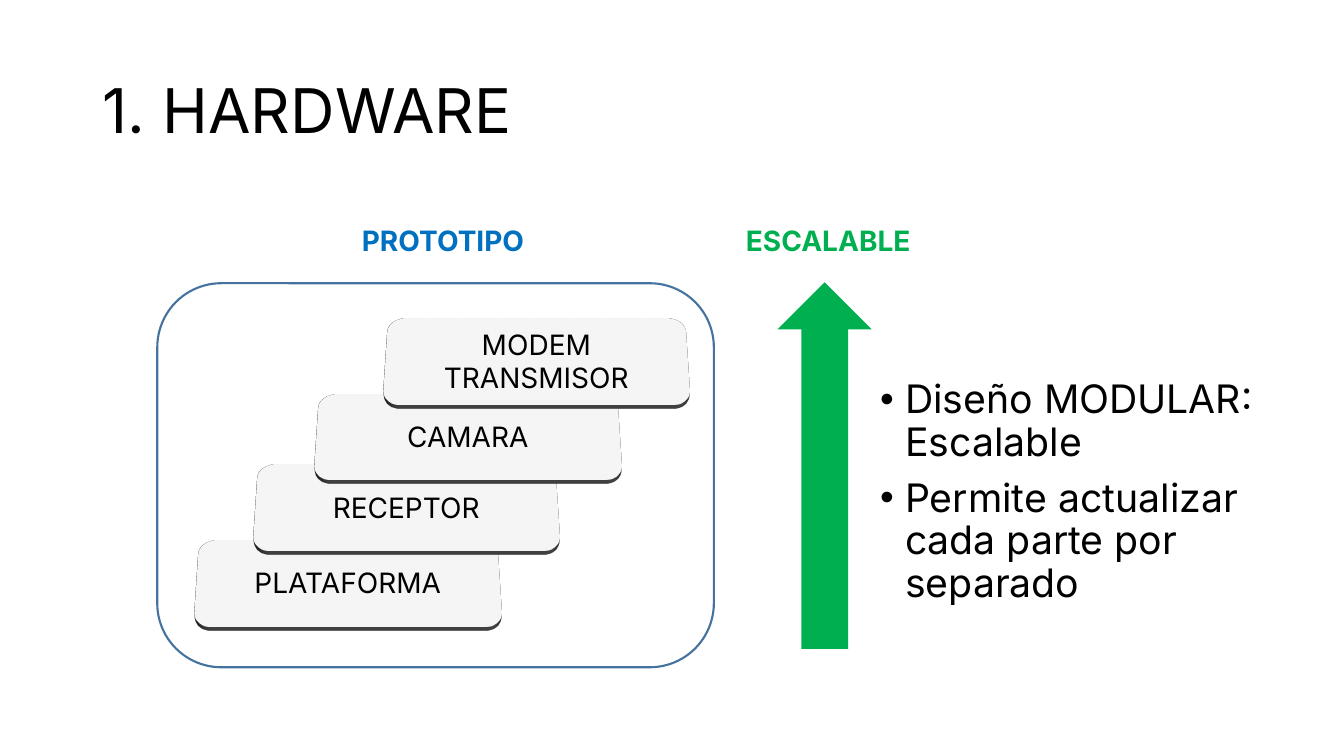
from dataclasses import dataclass

from lxml.etree import SubElement
from pptx import Presentation
from pptx.dml.color import RGBColor
from pptx.enum.shapes import MSO_SHAPE
from pptx.enum.text import MSO_ANCHOR, PP_ALIGN
from pptx.oxml.ns import qn
from pptx.shapes.autoshape import Shape
from pptx.text.text import TextFrame
from pptx.util import Inches, Pt

FONT = "Inter"
COLORS = {
    "text": "000000",
    "blue": "0070C0",
    "green": "00B050",
    "frame": "43739E",
    "face": "A6A6A6",
    "edge": "808080",
}


@dataclass
class Label:
    """A text box with its place and style."""
    lines: list[str]
    left: float
    top: float
    width: float
    height: float
    size: int
    color: str = "text"
    bold: bool = False
    wrap: bool = False
    space: float = 1.0
    anchor: MSO_ANCHOR = MSO_ANCHOR.TOP


@dataclass
class Module:
    """One slab of the stack."""
    name: str
    left: float
    top: float


TITLE = Label(["1. HARDWARE"], 0.92, 0.4, 11.5, 1.45, 44,
              wrap=True, space=0.9, anchor=MSO_ANCHOR.MIDDLE)
POINTS = Label(["Diseño MODULAR: Escalable",
                "Permite actualizar cada parte por separado"],
               8.63, 3.72, 4.2, 2.72, 28, wrap=True, space=0.9)
HEADS = [
    Label(["PROTOTIPO"], 3.49, 2.17, 1.85, 0.44, 20, "blue", True),
    Label(["ESCALABLE"], 7.3, 2.17, 1.92, 0.44, 20, "green", True),
]
STACK = [
    Module("PLATAFORMA", 1.95, 5.26),
    Module("RECEPTOR", 2.53, 4.51),
    Module("CAMARA", 3.14, 3.81),
    Module("MODEM TRANSMISOR", 3.82, 3.06),
]

deck = Presentation()
deck.slide_width, deck.slide_height = Inches(13.33), Inches(7.5)
slide = deck.slides.add_slide(deck.slide_layouts[6])
shapes = slide.shapes


def rgb(name: str) -> RGBColor:
    """Look up a colour by name."""
    return RGBColor.from_string(COLORS[name])


def write(frame: TextFrame, lines: list[str], size: int,
          color: str = "text", bold: bool = False) -> None:
    """Fill a text frame, one paragraph for each line."""
    frame.word_wrap = True
    frame.text = "\n".join(lines)
    for para in frame.paragraphs:
        font = para.font
        font.name, font.size, font.bold = FONT, Pt(size), bold
        font.color.rgb = rgb(color)


def add_label(label: Label) -> TextFrame:
    """Add a text box."""
    box = shapes.add_textbox(Inches(label.left), Inches(label.top),
                             Inches(label.width), Inches(label.height))
    frame = box.text_frame
    write(frame, label.lines, label.size, label.color, label.bold)
    frame.word_wrap = label.wrap
    frame.vertical_anchor = label.anchor
    for para in frame.paragraphs:
        para.line_spacing = label.space
    return frame


def add_bullets(frame: TextFrame) -> None:
    """Turn the paragraphs into a bullet list."""
    for para in frame.paragraphs:
        para.space_before = Pt(10)
        props = para._p.get_or_add_pPr()
        props.set("marL", str(Inches(0.25)))
        props.set("indent", str(-Inches(0.25)))
        style = props.find(qn("a:defRPr"))
        for tag, key, value in (("a:buFont", "typeface", "Arial"),
                                ("a:buChar", "char", "•")):
            mark = SubElement(props, qn(tag), {key: value})
            if style is not None:
                style.addprevious(mark)


def add_block(kind: MSO_SHAPE, left: float, top: float, width: float,
              height: float, fill: str | None, line: str,
              weight: float = 1) -> Shape:
    """Add a preset shape with flat paint and sharp line joins."""
    block = shapes.add_shape(kind, Inches(left), Inches(top),
                             Inches(width), Inches(height))
    block.shadow.inherit = False
    if fill:
        block.fill.solid()
        block.fill.fore_color.rgb = rgb(fill)
    else:
        block.fill.background()
    block.line.color.rgb = rgb(line)
    block.line.width = Pt(weight)
    SubElement(block.line._get_or_add_ln(), qn("a:miter"), lim="800000")
    return block


def tilt(block: Shape) -> None:
    """Lean a shape back in space and give it depth."""
    props = block._element.spPr
    scene = SubElement(props, qn("a:scene3d"))
    SubElement(scene, qn("a:camera"), prst="perspectiveRelaxedModerately")
    SubElement(scene, qn("a:lightRig"), rig="threePt", dir="t")
    SubElement(props, qn("a:sp3d"), extrusionH=str(Pt(5)))


def add_module(module: Module) -> None:
    """Add a named slab to the stack."""
    block = add_block(MSO_SHAPE.ROUNDED_RECTANGLE, module.left, module.top,
                      3, 1.04, "face", "edge")
    tilt(block)
    frame = block.text_frame
    frame.vertical_anchor = MSO_ANCHOR.MIDDLE
    write(frame, [module.name], 20)
    frame.paragraphs[0].alignment = PP_ALIGN.CENTER


add_block(MSO_SHAPE.ROUNDED_RECTANGLE, 1.56, 2.81, 5.52, 3.81,
          None, "frame", 1.5)
arrow = add_block(MSO_SHAPE.RIGHT_ARROW, 6.37, 4.17, 3.62, 0.9,
                  "green", "green")
arrow.rotation = 270

add_label(TITLE)
add_bullets(add_label(POINTS))
for module in STACK:
    add_module(module)
for head in HEADS:
    add_label(head)

deck.save("out.pptx")
